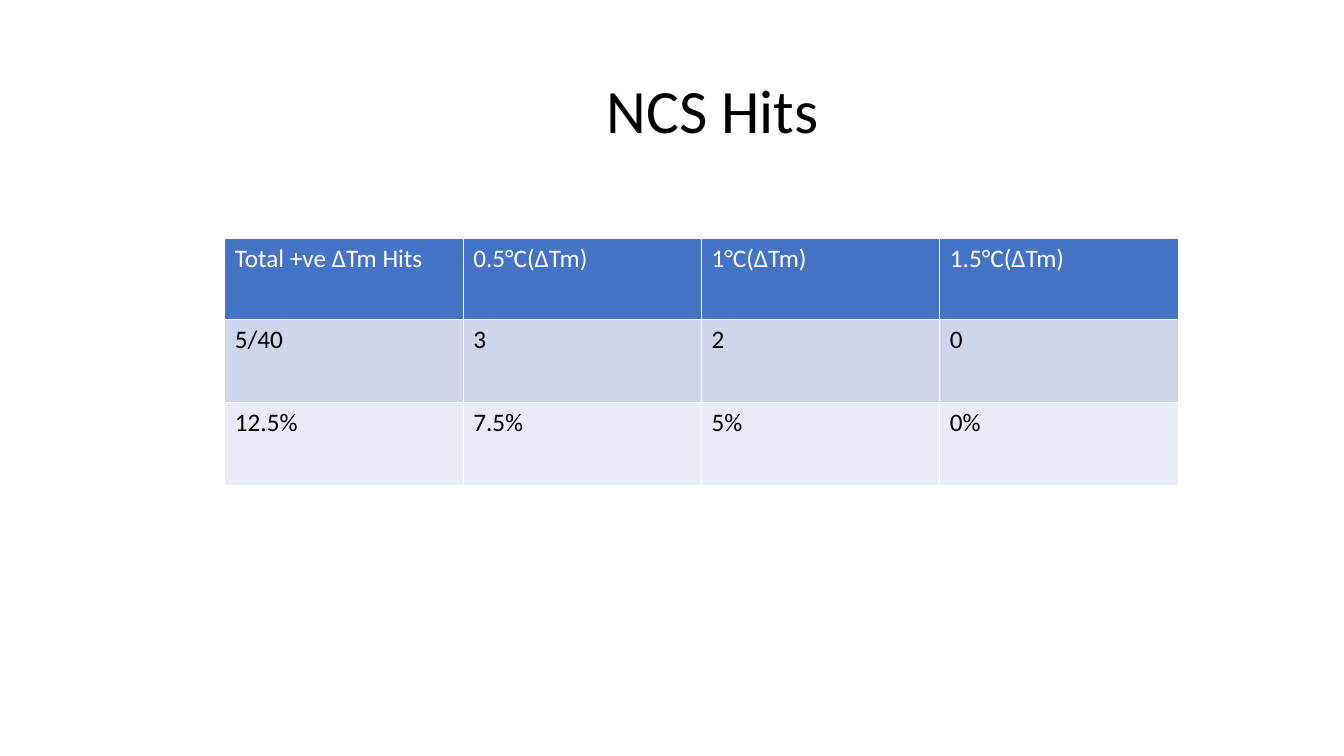
from lxml.etree import SubElement
from pptx import Presentation
from pptx.dml.color import RGBColor
from pptx.enum.text import MSO_ANCHOR as Anchor, PP_ALIGN as Align
from pptx.oxml.ns import qn
from pptx.util import Pt

COLOURS = {
    "text": "000000",
    "white": "FFFFFF",
    "header": "4472C4",
    "odd_row": "CFD5EA",
    "even_row": "E9EBF5",
}
HITS = [
    ["Total +ve ΔTm Hits", "0.5°C(ΔTm)", "1°C(ΔTm)", "1.5°C(ΔTm)"],
    ["5/40", "3", "2", "0"],
    ["12.5%", "7.5%", "5%", "0%"],
]
ROW_STYLES = [("header", "white"), ("odd_row", "text"), ("even_row", "text")]


def set_values(target, values):
    for name, value in values.items():
        setattr(target, name, value)


class SlideBuilder:
    font_name = "Calibri"

    def __init__(self, presentation):
        self.slide = presentation.slides.add_slide(presentation.slide_layouts[5])

    def format_font(self, font, size, colour):
        set_values(font, {"name": self.font_name, "size": Pt(size), "bold": False})
        font.color.rgb = RGBColor.from_string(COLOURS[colour])

    def title(self, text, left, top, width, height, indent):
        shape = self.slide.shapes.title
        set_values(shape, {"left": Pt(left), "top": Pt(top),
                           "width": Pt(width), "height": Pt(height)})
        frame = shape.text_frame
        set_values(frame, {"text": text, "word_wrap": True,
                           "vertical_anchor": Anchor.MIDDLE,
                           "margin_left": Pt(indent)})
        paragraph = frame.paragraphs[0]
        set_values(paragraph, {"alignment": Align.LEFT, "line_spacing": 0.9})
        self.format_font(paragraph.runs[0].font, 44, "text")

    def cell_borders(self, cell, width):
        properties = cell._tc.get_or_add_tcPr()
        for position, side in enumerate(("lnL", "lnR", "lnT", "lnB")):
            line = SubElement(properties, qn(f"a:{side}"), w=str(Pt(width)))
            fill = SubElement(line, qn("a:solidFill"))
            SubElement(fill, qn("a:srgbClr"), val=COLOURS["white"])
            properties.insert(position, line)

    def table(self, rows, row_styles, left, top, width, row_heights):
        shape = self.slide.shapes.add_table(
            len(rows), len(rows[0]), Pt(left), Pt(top), Pt(width), Pt(sum(row_heights)))
        table = shape.table
        for row, height in zip(table.rows, row_heights):
            row.height = Pt(height)
        for row, texts, (fill, colour) in zip(table.rows, rows, row_styles):
            for cell, text in zip(row.cells, texts):
                cell.text = text
                cell.fill.solid()
                cell.fill.fore_color.rgb = RGBColor.from_string(COLOURS[fill])
                self.format_font(cell.text_frame.paragraphs[0].runs[0].font, 18, colour)
                self.cell_borders(cell, 1)


def main():
    presentation = Presentation()
    set_values(presentation, {"slide_width": Pt(960), "slide_height": Pt(540)})
    builder = SlideBuilder(presentation)
    builder.title("NCS Hits", 66, 28.75, 828, 104.4, indent=367.2)
    builder.table(HITS, ROW_STYLES, 160.6, 170.2, 681, [58.3, 59.2, 59.2])
    presentation.save("out.pptx")


if __name__ == "__main__":
    main()
